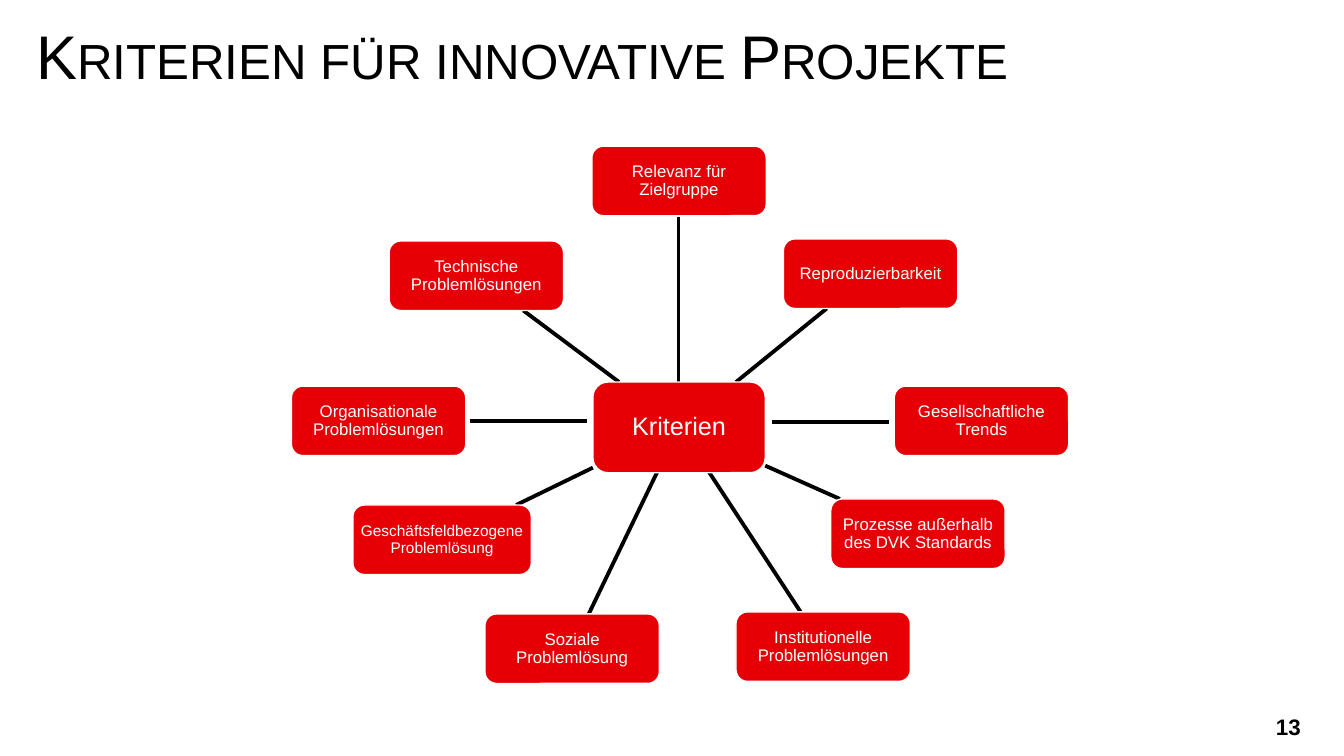
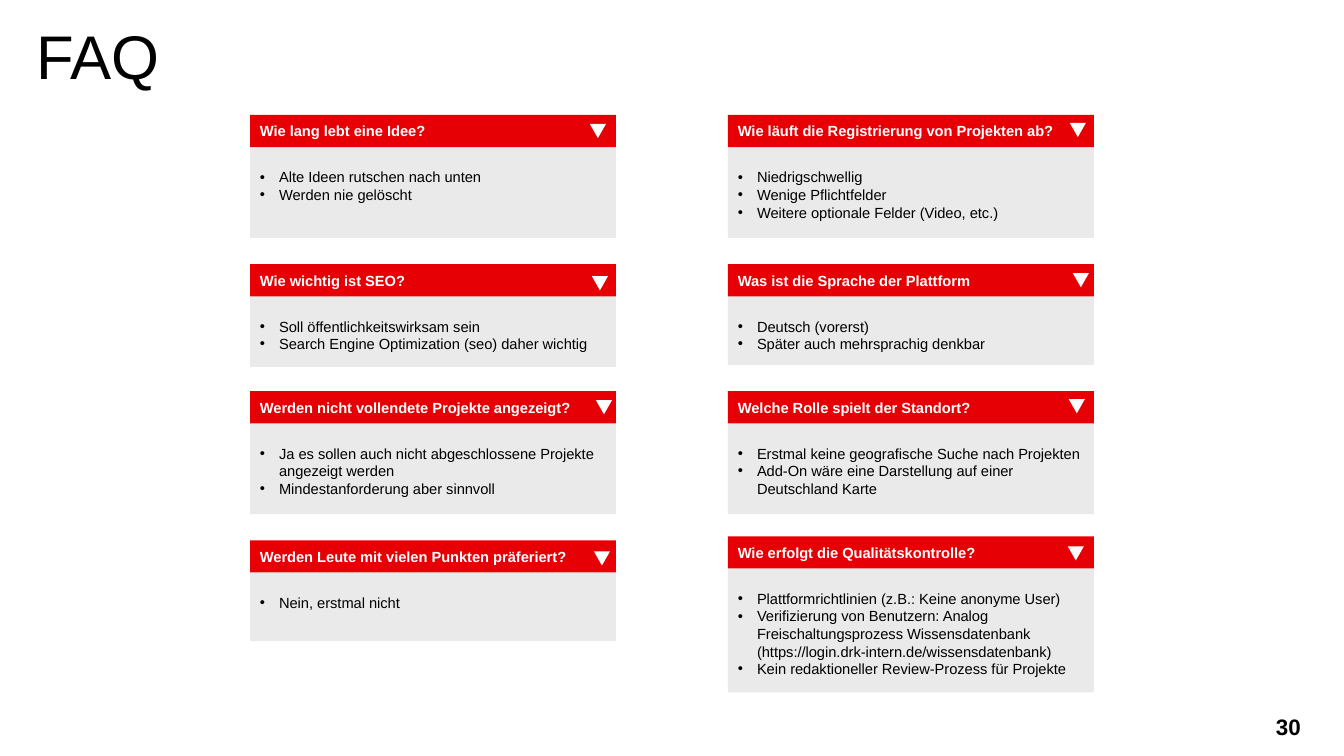
from lxml import etree
from pptx import Presentation
from pptx.dml.color import RGBColor
from pptx.enum.shapes import MSO_CONNECTOR, MSO_SHAPE
from pptx.enum.text import MSO_ANCHOR, PP_ALIGN
from pptx.oxml.ns import qn
from pptx.util import Inches, Pt

RECTANGLE = MSO_SHAPE.RECTANGLE
ROUNDED = MSO_SHAPE.ROUNDED_RECTANGLE
TRIANGLE = MSO_SHAPE.ISOSCELES_TRIANGLE
STRAIGHT = MSO_CONNECTOR.STRAIGHT
TOP, MIDDLE = MSO_ANCHOR.TOP, MSO_ANCHOR.MIDDLE
LEFT, CENTER, RIGHT = PP_ALIGN.LEFT, PP_ALIGN.CENTER, PP_ALIGN.RIGHT

FONT = "Arial"
COLORS = {"red": "E60005", "gray": "EAEAEA", "white": "FFFFFF", "black": "000000"}

CRITERION_SIZE = (1.73, 0.69)
CRITERIA = [
    ("Relevanz für Zielgruppe", (5.87, 1.45), (6.73, 3.79), (6.73, 2.15)),
    ("Reproduzierbarkeit", (7.77, 2.37), (7.3, 3.79), (8.2, 3.06)),
    ("Gesellschaftliche Trends", (8.87, 3.83), (7.66, 4.19), (8.82, 4.19)),
    ("Prozesse außerhalb des DVK Standards", (8.24, 4.95), (7.59, 4.62), (8.33, 4.95)),
    ("Institutionelle Problemlösungen", (7.3, 6.07), (7.03, 4.68), (7.94, 6.07)),
    ("Soziale Problemlösung", (4.81, 6.09), (6.52, 4.68), (5.84, 6.09)),
    ("Organisationale Problemlösungen", (2.89, 3.83), (5.82, 4.18), (4.66, 4.18)),
    ("Technische Problemlösungen", (3.86, 2.39), (6.14, 3.79), (5.19, 3.08)),
]
BUSINESS_CRITERION = "Geschäftsfeldbezogene Problemlösung"

CARD_WIDTH, HEADER_HEIGHT = 3.63, 0.32
LEFT_COLUMN, RIGHT_COLUMN = 2.48, 7.22
QUESTIONS = [
    (LEFT_COLUMN, 1.14, 0.9, (3.37, 0.09), "Wie lang lebt eine Idee?",
     ["Alte Ideen rutschen nach unten", "Werden nie gelöscht"]),
    (LEFT_COLUMN, 2.62, 0.7, (3.39, 0.12), "Wie wichtig ist SEO?",
     ["Soll öffentlichkeitswirksam sein",
      "Search Engine Optimization (seo) daher wichtig"]),
    (LEFT_COLUMN, 3.88, 0.9, (3.43, 0.09),
     "Werden nicht vollendete Projekte angezeigt?",
     ["Ja es sollen auch nicht abgeschlossene Projekte angezeigt werden",
      "Mindestanforderung aber sinnvoll"]),
    (LEFT_COLUMN, 5.36, 0.68, (3.41, 0.11),
     "Werden Leute mit vielen Punkten präferiert?", ["Nein, erstmal nicht"]),
    (RIGHT_COLUMN, 1.14, 0.9, (3.39, 0.08),
     "Wie läuft die Registrierung von Projekten ab?",
     ["Niedrigschwellig", "Wenige Pflichtfelder",
      "Weitere optionale Felder (Video, etc.)"]),
    (RIGHT_COLUMN, 2.62, 0.68, (3.42, 0.09), "Was ist die Sprache der Plattform",
     ["Deutsch (vorerst)", "Später auch mehrsprachig denkbar"]),
    (RIGHT_COLUMN, 3.88, 0.9, (3.38, 0.08), "Welche Rolle spielt der Standort?",
     ["Erstmal keine geografische Suche nach Projekten",
      "Add-On wäre eine Darstellung auf einer Deutschland Karte"]),
    (RIGHT_COLUMN, 5.32, 1.23, (3.37, 0.1), "Wie erfolgt die Qualitätskontrolle?",
     ["Plattformrichtlinien (z.B.: Keine anonyme User)",
      "Verifizierung von Benutzern: Analog Freischaltungsprozess "
      "Wissensdatenbank (https://login.drk-intern.de/wissensdatenbank)",
      "Kein redaktioneller Review-Prozess für Projekte"]),
]


def color(name):
    return RGBColor.from_string(COLORS[name])


class Deck:
    def __init__(self):
        self.presentation = Presentation()
        self.presentation.slide_width = Inches(13.33)
        self.presentation.slide_height = Inches(7.5)
        self.slide = None

    def add_slide(self, title, number):
        layout = self.presentation.slide_layouts[6]
        self.slide = self.presentation.slides.add_slide(layout)
        frame = self.text_box(0.26, 0.21, 12.74, 0.76)
        self.set_text(frame, [title], 44, "black", spacing=0.9, anchor=TOP)
        for run in frame.paragraphs[0].runs:
            run.font._element.set("cap", "small")
        frame = self.text_box(12.23, 7.03, 0.77, 0.36)
        self.set_text(frame, [str(number)], 16, "black", bold=True, align=RIGHT)

    def text_box(self, left, top, width, height):
        box = self.slide.shapes.add_textbox(
            Inches(left), Inches(top), Inches(width), Inches(height))
        return box.text_frame

    def set_text(self, frame, lines, size, text_color, bold=False, align=LEFT,
                 anchor=MIDDLE, spacing=None, bullets=False):
        frame.word_wrap = True
        frame.vertical_anchor = anchor
        frame.text = "\n".join(lines)
        for paragraph in frame.paragraphs:
            paragraph.alignment = align
            if spacing:
                paragraph.line_spacing = spacing
            if bullets:
                self.add_bullet(paragraph)
            for run in paragraph.runs:
                run.font.name = FONT
                run.font.size = Pt(size)
                run.font.bold = bold
                run.font.color.rgb = color(text_color)

    def add_bullet(self, paragraph):
        properties = paragraph._p.get_or_add_pPr()
        properties.set("marL", str(Inches(0.19)))
        properties.set("indent", str(-Inches(0.19)))
        etree.SubElement(properties, qn("a:buFont"), typeface=FONT)
        etree.SubElement(properties, qn("a:buChar"), char="•")

    def shape(self, kind, left, top, width, height, fill, outline=None):
        shape = self.slide.shapes.add_shape(
            kind, Inches(left), Inches(top), Inches(width), Inches(height))
        shape.shadow.inherit = False
        shape.fill.solid()
        shape.fill.fore_color.rgb = color(fill)
        if outline:
            shape.line.color.rgb = color(outline)
            shape.line.width = Pt(1)
        else:
            shape.line.fill.background()
        return shape

    def node(self, text, position, size=CRITERION_SIZE, font_size=12, margin=0.03):
        frame = self.shape(ROUNDED, *position, *size, "red", "white").text_frame
        frame.margin_left = frame.margin_right = Inches(margin)
        frame.margin_top = frame.margin_bottom = Inches(margin)
        self.set_text(frame, [text], font_size, "white", align=CENTER, spacing=0.9)

    def spoke(self, start, end):
        connector = self.slide.shapes.add_connector(
            STRAIGHT, *(Inches(value) for value in (*start, *end)))
        connector.line.color.rgb = color("black")
        connector.line.width = Pt(2.75)
        etree.SubElement(connector._element.spPr, qn("a:effectLst"))

    def question_card(self, left, top, body_height, marker, question, answers):
        body = self.shape(RECTANGLE, left, top + HEADER_HEIGHT,
                          CARD_WIDTH, body_height, "gray")
        body.text_frame.margin_top = Inches(0.21)
        self.set_text(body.text_frame, answers, 10.5, "black", anchor=TOP, bullets=True)
        header = self.shape(RECTANGLE, left, top, CARD_WIDTH, HEADER_HEIGHT, "red")
        self.set_text(header.text_frame, [question], 10.5, "white", bold=True)
        triangle = self.shape(TRIANGLE, left + marker[0], top + marker[1],
                              0.16, 0.14, "white")
        triangle.rotation = 180


def main():
    deck = Deck()

    deck.add_slide("Kriterien für innovative Projekte", 13)
    for text, position, start, end in CRITERIA:
        deck.spoke(start, end)
        deck.node(text, position)
    deck.spoke((5.88, 4.64), (5.12, 5.01))
    deck.node(BUSINESS_CRITERION, (3.5, 5.01), (1.77, 0.69), font_size=11)
    deck.node("Kriterien", (5.88, 3.79), (1.71, 0.9), font_size=18, margin=0.05)

    deck.add_slide("FAQ", 30)
    for question in QUESTIONS:
        deck.question_card(*question)

    deck.presentation.save("out.pptx")


if __name__ == "__main__":
    main()
